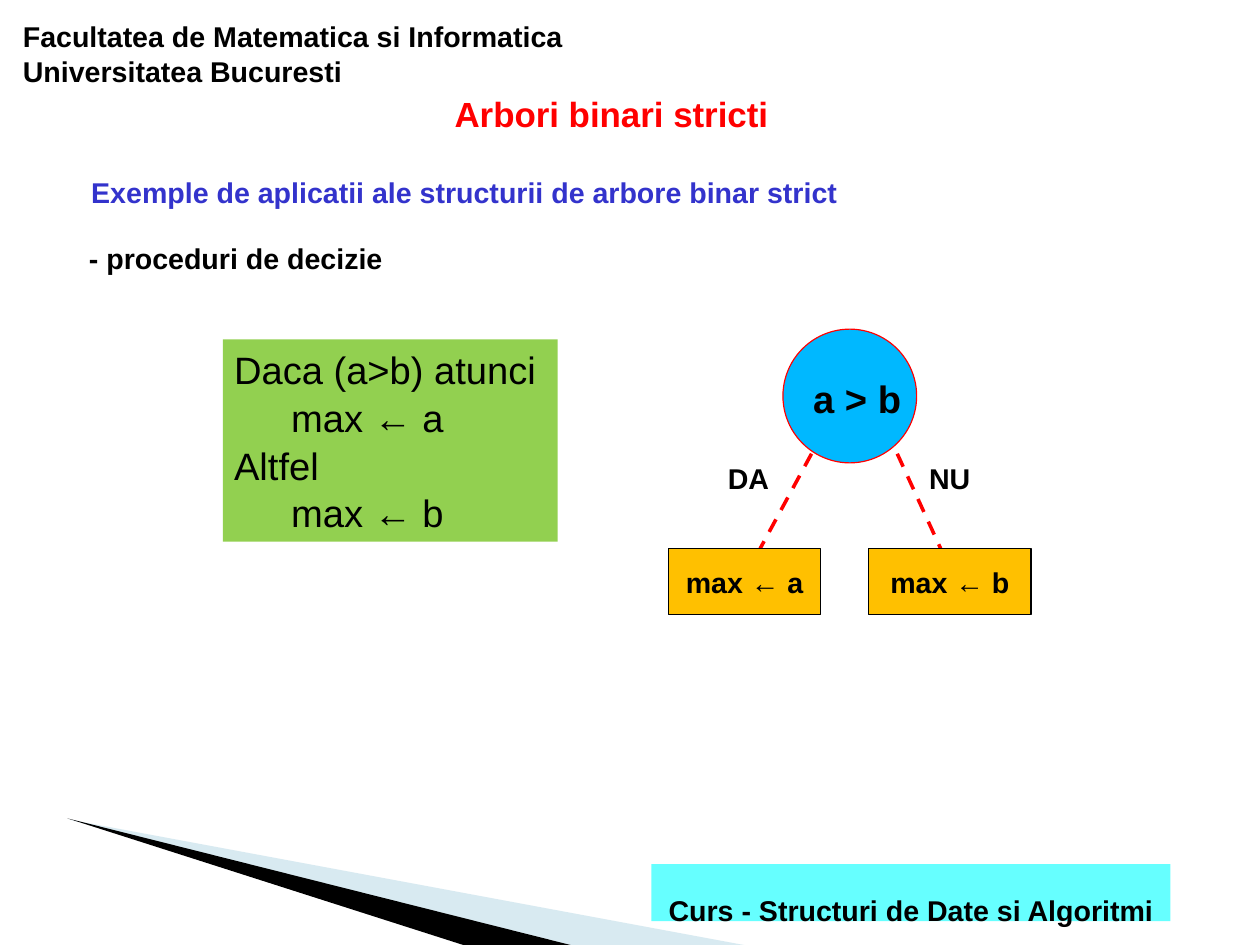
from dataclasses import dataclass

from lxml import etree
from pptx import Presentation
from pptx.dml.color import RGBColor
from pptx.enum.dml import MSO_LINE
from pptx.enum.shapes import MSO_CONNECTOR, MSO_SHAPE
from pptx.enum.text import MSO_ANCHOR, MSO_AUTO_SIZE, PP_ALIGN
from pptx.oxml.ns import qn
from pptx.util import Cm, Inches, Pt

RECTANGLE, CIRCLE = MSO_SHAPE.RECTANGLE, MSO_SHAPE.OVAL
STRAIGHT = MSO_CONNECTOR.STRAIGHT
DASH = MSO_LINE.DASH
TOP, MIDDLE = MSO_ANCHOR.TOP, MSO_ANCHOR.MIDDLE
LEFT, CENTER = PP_ALIGN.LEFT, PP_ALIGN.CENTER
FIT_SHAPE, FIXED = MSO_AUTO_SIZE.SHAPE_TO_FIT_TEXT, MSO_AUTO_SIZE.NONE
TITLE_ONLY = 5


@dataclass(frozen=True)
class Theme:
    font: str = "Arial"
    ink: str = "000000"
    red: str = "FF0000"
    heading: str = "3333CC"
    code: str = "92D050"
    question: str = "00B8FF"
    answer: str = "FFC000"
    footer: str = "66FFFF"
    wedge: str = "9FCBDC"
    body_size: int = 18
    title_size: int = 22
    large_size: int = 24
    line_spacing: float = 1.04
    insets: tuple = (0.1, 0.05, 0.1, 0.05)


THEME = Theme()


def rgb(color):
    return RGBColor.from_string(color)


def write(shape, lines, size=THEME.body_size, color=THEME.ink, bold=True,
          align=LEFT, anchor=TOP, spacing=THEME.line_spacing, wrap=True,
          insets=THEME.insets, fit=FIXED):
    frame = shape.text_frame
    frame.word_wrap = wrap
    frame.auto_size = fit
    frame.vertical_anchor = anchor
    (frame.margin_left, frame.margin_top,
     frame.margin_right, frame.margin_bottom) = map(Inches, insets)
    for number, (text, indent) in enumerate(lines):
        paragraph = frame.add_paragraph() if number else frame.paragraphs[0]
        paragraph.alignment = align
        paragraph.line_spacing = spacing
        if indent:
            properties = paragraph._p.get_or_add_pPr()
            properties.set("marL", str(Inches(indent)))
            properties.set("indent", "0")
        run = paragraph.add_run()
        run.text = text
        run.font.name = THEME.font
        run.font.size = Pt(size)
        run.font.bold = bold
        run.font.color.rgb = rgb(color)


def add_label(shapes, box, text, **style):
    label = shapes.add_textbox(*map(Inches, box))
    write(label, [(text, 0)], fit=FIT_SHAPE, **style)


def paint(shape, fill, line=None):
    shape.shadow.inherit = False
    shape.fill.solid()
    shape.fill.fore_color.rgb = rgb(fill)
    if line:
        shape.line.color.rgb = rgb(line)
        shape.line.width = Pt(0.75)
    else:
        shape.line.fill.background()


def add_block(shapes, kind, box, fill, lines, line=None, **style):
    block = shapes.add_shape(kind, *map(Inches, box))
    paint(block, fill, line)
    write(block, lines, **style)


def add_branch(shapes, start, end):
    branch = shapes.add_connector(STRAIGHT, *map(Inches, start + end))
    branch.line.color.rgb = rgb(THEME.red)
    branch.line.width = Pt(2.25)
    branch.line.dash_style = DASH
    etree.SubElement(branch._element.spPr, qn("a:effectLst"))


def add_wedge(shapes, corners, fill, opacity=100):
    start, *others = [tuple(map(Inches, corner)) for corner in corners]
    builder = shapes.build_freeform(*start)
    builder.add_line_segments(others, close=True)
    wedge = builder.convert_to_shape()
    paint(wedge, fill)
    if opacity < 100:
        color = wedge._element.spPr.find(qn("a:solidFill"))[0]
        etree.SubElement(color, qn("a:alpha"), val=str(opacity * 1000))


def add_title(slide, box, text):
    title = slide.shapes.title
    title.left, title.top, title.width, title.height = map(Inches, box)
    write(title, [(text, 0)], size=THEME.title_size, color=THEME.red,
          align=CENTER, spacing=1.0, insets=(0, 0.01, 0, 0.01), fit=FIT_SHAPE)


def add_decision_tree(slide):
    tree = slide.shapes.add_group_shape().shapes
    add_block(tree, CIRCLE, (6.85, 2.88, 1.17, 1.17), THEME.question,
              [("a > b", 0)], THEME.red, size=THEME.large_size, align=CENTER,
              anchor=MIDDLE, wrap=False, insets=(0.13, 0.03, 0, 0))
    branches = [
        ("DA", 6.27, 7.1, 6.65, "max ← a", 5.85, 1.33),
        ("NU", 8.03, 7.85, 8.23, "max ← b", 7.6, 1.42),
    ]
    for reply, reply_left, start, end, result, left, width in branches:
        add_branch(tree, (start, 3.97), (end, 4.8))
        add_block(tree, RECTANGLE, (left, 4.8, width, 0.58), THEME.answer,
                  [(result, 0)], THEME.ink, align=CENTER, anchor=MIDDLE,
                  wrap=False)
        add_label(tree, (reply_left, 3.97, 0.56, 0.41), reply, wrap=False)


def main():
    presentation = Presentation()
    presentation.slide_width = Cm(28)
    presentation.slide_height = Cm(21)
    slide = presentation.slides.add_slide(
        presentation.slide_layouts[TITLE_ONLY])
    shapes = slide.shapes

    add_wedge(shapes, [(0.6, 7.17), (6.52, 8.27), (5.0, 8.27)],
              THEME.wedge, opacity=40)
    add_wedge(shapes, [(0.59, 7.16), (5.0, 8.27), (4.06, 8.27)], THEME.ink)

    add_label(shapes, (0.09, 0.09, 5.51, 0.73),
              "Facultatea de Matematica si Informatica "
              "Universitatea Bucuresti", insets=(0.11, 0.06, 0.11, 0.06))
    add_block(shapes, RECTANGLE, (5.7, 7.56, 4.54, 0.5), THEME.footer,
              [("Curs - Structuri de Date si Algoritmi", 0)],
              align=CENTER, anchor=MIDDLE, spacing=2.0)
    add_title(slide, (3.3, 0.8, 4.1, 0.39), "Arbori binari stricti")
    add_label(shapes, (0.7, 1.47, 6.73, 0.41),
              "Exemple de aplicatii ale structurii de arbore binar strict",
              color=THEME.heading, wrap=False)
    add_label(shapes, (0.68, 2.05, 2.83, 0.41), "- proceduri de decizie")
    add_block(shapes, RECTANGLE, (1.95, 2.97, 2.93, 1.77), THEME.code,
              [("Daca (a>b) atunci", 0), ("max ← a", 0.5),
               ("Altfel", 0), ("max ← b", 0.5)],
              size=THEME.large_size, bold=False, wrap=False, fit=FIT_SHAPE)
    add_decision_tree(slide)
    presentation.save("out.pptx")


if __name__ == "__main__":
    main()
